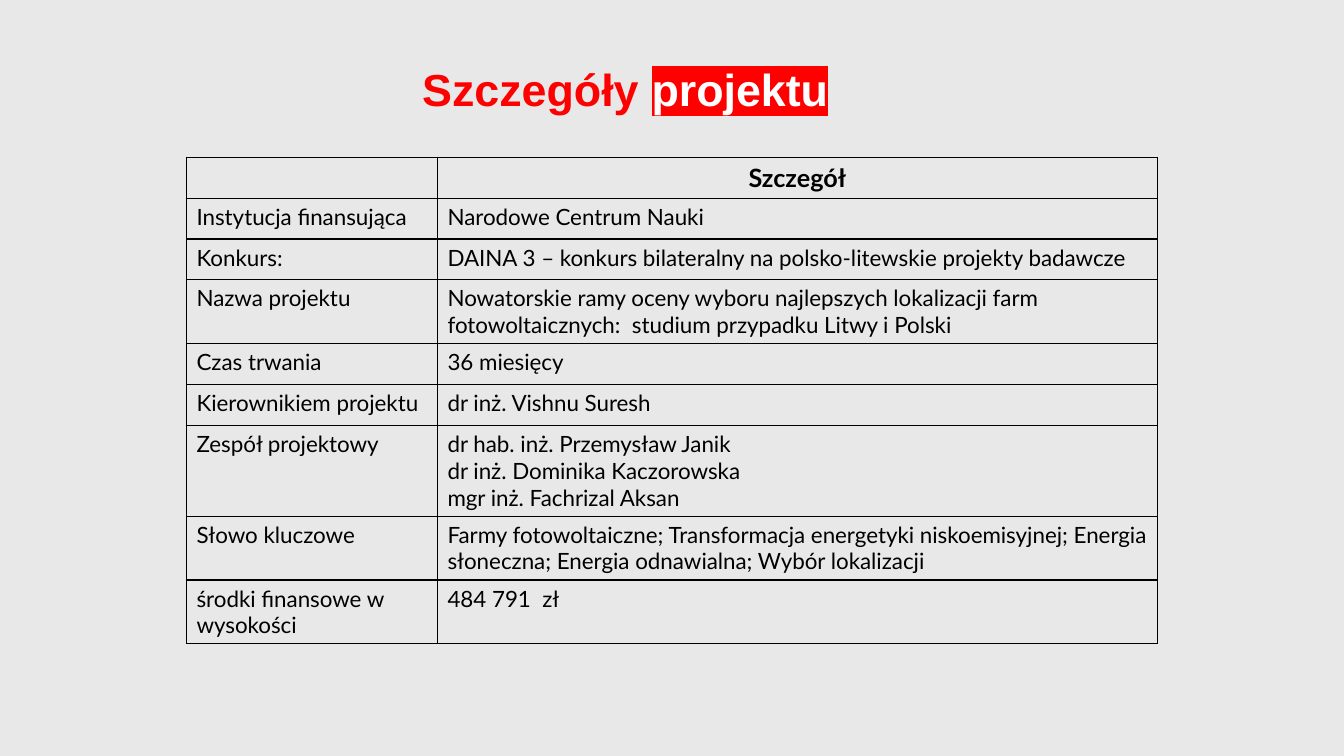
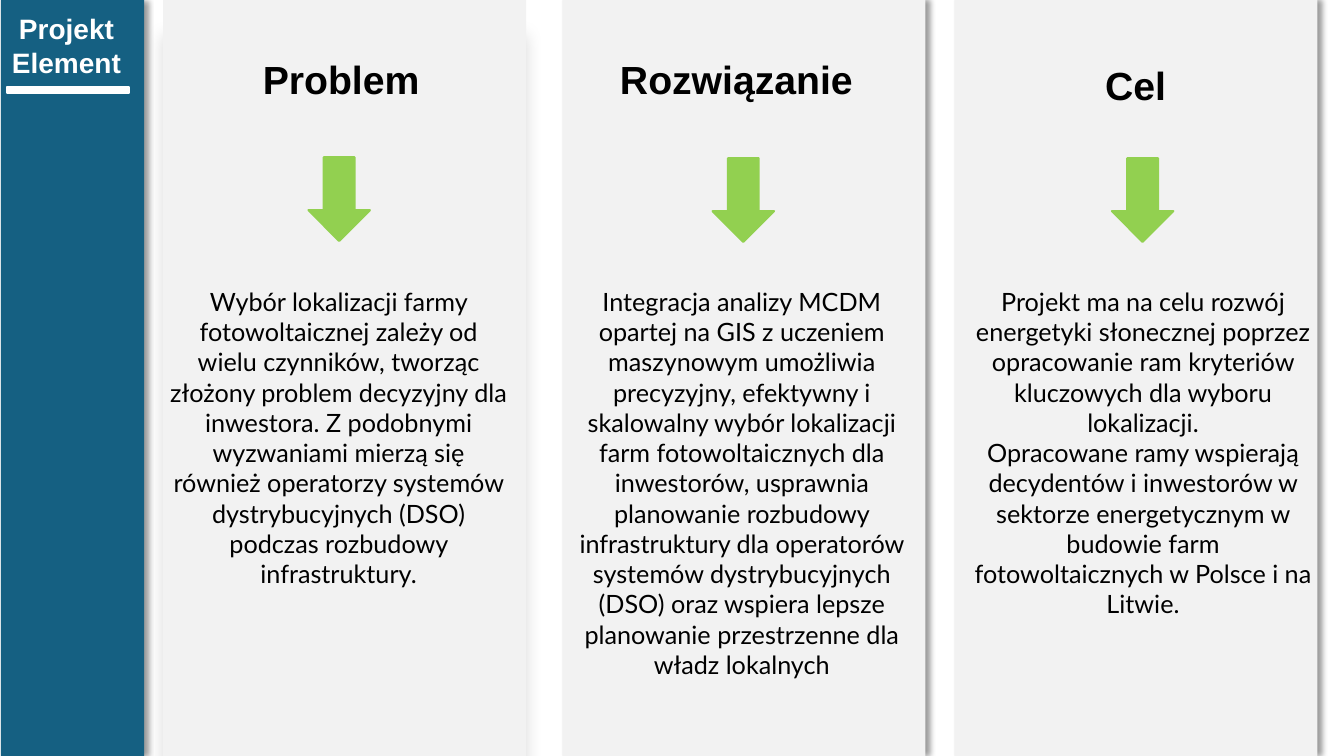
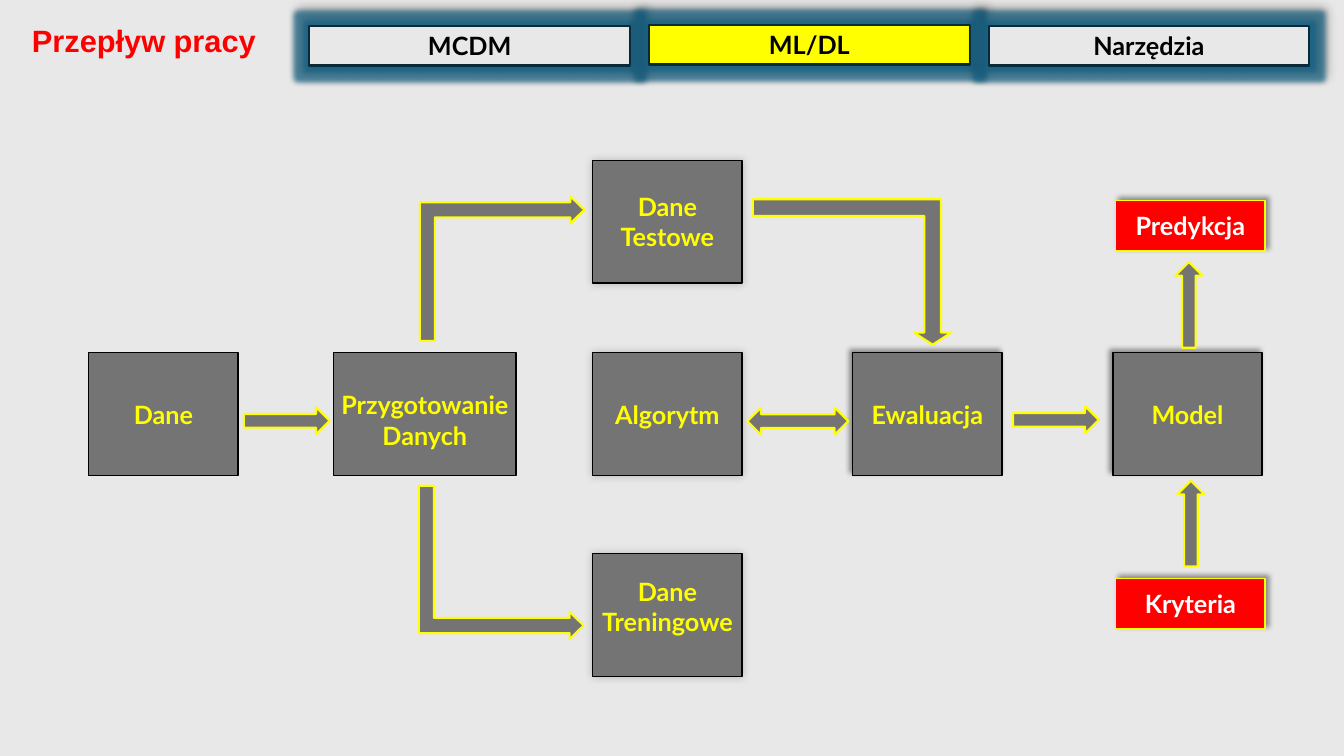
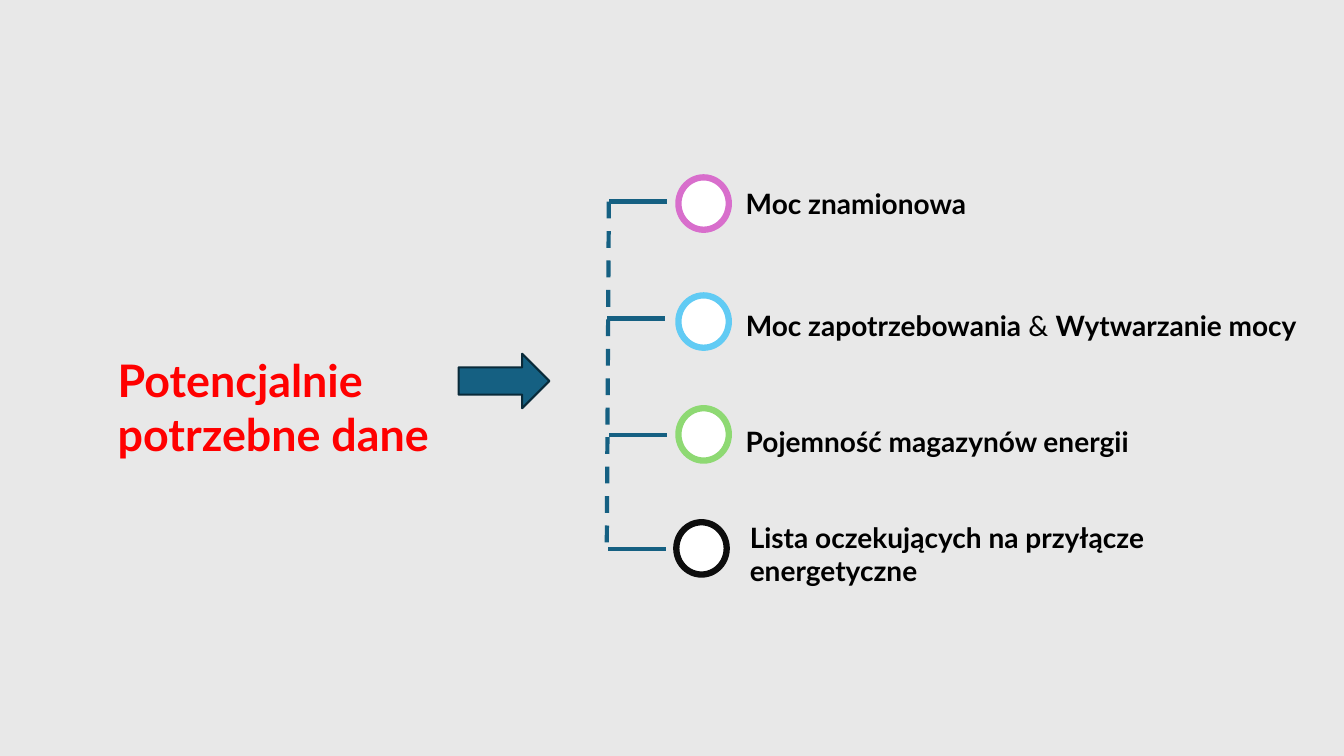
import pptx
import pptx.dml.color
import pptx.enum.dml
import pptx.enum.shapes
import pptx.enum.text
import pptx.oxml.ns
import pptx.util
from lxml import etree

Pt = pptx.util.Pt
RGBColor = pptx.dml.color.RGBColor
Shape = pptx.enum.shapes.MSO_SHAPE
Align = pptx.enum.text.PP_ALIGN
Anchor = pptx.enum.text.MSO_ANCHOR
qn = pptx.oxml.ns.qn

BLACK = RGBColor(0x00, 0x00, 0x00)
WHITE = RGBColor(0xFF, 0xFF, 0xFF)
RED = RGBColor(0xFF, 0x00, 0x00)
YELLOW = RGBColor(0xFF, 0xFF, 0x00)
PAPER = RGBColor(0xE8, 0xE8, 0xE8)
PANEL = RGBColor(0xF2, 0xF2, 0xF2)
TEAL = RGBColor(0x15, 0x60, 0x82)
NAVY = RGBColor(0x09, 0x2A, 0x39)
GRAY = RGBColor(0x74, 0x74, 0x74)
LIME = RGBColor(0x92, 0xD0, 0x50)
PINK = RGBColor(0xD8, 0x6E, 0xCC)
SKY = RGBColor(0x61, 0xCB, 0xF4)
GREEN = RGBColor(0x8E, 0xD9, 0x73)
INK = RGBColor(0x0D, 0x0D, 0x0D)

HEAD_FONT = "Arial"
BODY_FONT = "Lato"
WIDTH, HEIGHT = 960, 540


def add_color(parent, color, opacity=100):
    node = etree.SubElement(parent, qn("a:srgbClr"), val=str(color))
    if opacity < 100:
        etree.SubElement(node, qn("a:alpha"), val=str(opacity * 1000))


class Slides:
    """The deck's style and the page being filled; lengths are in points."""

    def __init__(self):
        self.deck = pptx.Presentation()
        self.deck.slide_width, self.deck.slide_height = Pt(WIDTH), Pt(HEIGHT)
        self.page = None

    def new_page(self, background=PAPER):
        self.page = self.deck.slides.add_slide(self.deck.slide_layouts[6])
        self.page.background.fill.solid()
        self.page.background.fill.fore_color.rgb = background

    def fill_text(self, frame, lines, size, color, bold=False, font=BODY_FONT, align=Align.LEFT):
        """Each line is a string or a list of (text, bold) spans."""
        for index, line in enumerate(lines):
            para = frame.paragraphs[0] if index == 0 else frame.add_paragraph()
            para.alignment = align
            for text, strong in [(line, bold)] if isinstance(line, str) else line:
                span = para.add_run()
                span.text = text
                span.font.name, span.font.size, span.font.bold = font, Pt(size), strong
                span.font.color.rgb = color

    def text(self, left, top, width, height, lines, size, color, **style):
        box = self.page.shapes.add_textbox(Pt(left), Pt(top), Pt(width), Pt(height))
        box.text_frame.word_wrap = True
        self.fill_text(box.text_frame, lines, size, color, **style)
        return box

    def highlight(self, span, color, marker):
        span.font.color.rgb = color
        mark = etree.Element(qn("a:highlight"))
        add_color(mark, marker)
        span._r.get_or_add_rPr().find(qn("a:solidFill")).addnext(mark)

    def paint(self, shape, fill, line, weight, shadow=None, glow=None):
        """shadow is (opacity, blur, distance, angle); glow is (color, opacity, radius)."""
        shape.shadow.inherit = False
        shape.fill.solid()
        shape.fill.fore_color.rgb = fill
        if line is None:
            shape.line.fill.background()
        else:
            shape.line.color.rgb, shape.line.width = line, Pt(weight)
        effects = shape.element.spPr.find(qn("a:effectLst"))
        if glow:
            color, opacity, radius = glow
            add_color(etree.SubElement(effects, qn("a:glow"), rad=str(Pt(radius))), color, opacity)
        if shadow:
            opacity, blur, distance, angle = shadow
            node = etree.SubElement(
                effects, qn("a:outerShdw"), blurRad=str(Pt(blur)), dist=str(Pt(distance)),
                dir=str(angle * 60000), algn="ctr", rotWithShape="0")
            add_color(node, BLACK, opacity)

    def shape(self, kind, left, top, width, height, fill, line=None, weight=1.5, **effects):
        shape = self.page.shapes.add_shape(kind, Pt(left), Pt(top), Pt(width), Pt(height))
        self.paint(shape, fill, line, weight, **effects)
        return shape

    def block(self, left, top, width, height, lines, color, fill, line, lift=0, **look):
        """A rectangle with a centred bold label, raised by lift."""
        shape = self.shape(Shape.RECTANGLE, left, top, width, height, fill, line, **look)
        frame = shape.text_frame
        frame.word_wrap = True
        frame.vertical_anchor = Anchor.MIDDLE
        frame.margin_left = frame.margin_right = 0
        frame.margin_top, frame.margin_bottom = Pt(max(0, -2 * lift)), Pt(max(0, 2 * lift))
        self.fill_text(frame, lines, 18, color, bold=True, align=Align.CENTER)

    def elbow_arrow(self, start, tip, fill, line, half=5.4, head=(10, 9.7), across_first=False):
        """A bent block arrow; head is its length and half its width."""
        if across_first:
            start, tip = start[::-1], tip[::-1]
        (sx, sy), (tx, ty) = start, tip
        dx, dy = (1 if tx > sx else -1), (1 if sy > ty else -1)
        neck, wide = tx - head[0] * dx, head[1] * dy
        inner, outer = half * dy, half * dx
        outline = [
            (sx - outer, sy), (sx + outer, sy), (sx + outer, ty + inner), (neck, ty + inner),
            (neck, ty + wide), (tx, ty), (neck, ty - wide), (neck, ty - inner),
            (sx - outer, ty - inner)]
        if across_first:
            outline = [point[::-1] for point in outline]
        points = [(Pt(x), Pt(y)) for x, y in outline]
        builder = self.page.shapes.build_freeform(*points[0])
        builder.add_line_segments(points[1:], close=True)
        self.paint(builder.convert_to_shape(), fill, line, 1.5)

    def line(self, start, end, color, weight, dashed=False):
        line = self.page.shapes.add_connector(
            pptx.enum.shapes.MSO_CONNECTOR.STRAIGHT, *[Pt(value) for value in start + end])
        line.line.color.rgb, line.line.width = color, Pt(weight)
        if dashed:
            line.line.dash_style = pptx.enum.dml.MSO_LINE.DASH
        etree.SubElement(line.element.spPr, qn("a:effectLst"))

    def table(self, left, top, widths, row_height, rows):
        """Each row holds cells, each cell a list of lines; the first row is the header."""
        frame = self.page.shapes.add_table(
            len(rows), len(widths), Pt(left), Pt(top), Pt(sum(widths)), Pt(row_height * len(rows)))
        table = frame.table
        table.first_row = table.horz_banding = False
        for column, width in zip(table.columns, widths):
            column.width = Pt(width)
        for number, row in enumerate(rows):
            table.rows[number].height = Pt(row_height)
            header = number == 0
            for cell, lines in zip(table.rows[number].cells, row):
                cell.fill.background()
                self.border(cell)
                self.fill_text(cell.text_frame, lines, 18 if header else 16, BLACK, bold=header,
                               align=Align.CENTER if header else Align.LEFT)

    def border(self, cell):
        properties = cell._tc.get_or_add_tcPr()
        for index, side in enumerate(("lnL", "lnR", "lnT", "lnB")):
            edge = etree.Element(qn("a:" + side), w=str(Pt(1)))
            add_color(etree.SubElement(edge, qn("a:solidFill")), BLACK)
            properties.insert(index, edge)


def details_page(slides):
    slides.new_page()
    title = slides.text(294.5, 40.3, 404, 46, [[("Szczegóły ", True), ("projektu", True)]],
                        32, RED, font=HEAD_FONT)
    slides.highlight(title.text_frame.paragraphs[0].runs[1], WHITE, RED)
    slides.table(133.2, 112.3, [179.3, 514.1], 29.2, [
        ([], ["Szczegół"]),
        (["Instytucja finansująca"], ["Narodowe Centrum Nauki"]),
        (["Konkurs:"], ["DAINA 3 – konkurs bilateralny na polsko-litewskie projekty badawcze"]),
        (["Nazwa projektu"], ["Nowatorskie ramy oceny wyboru najlepszych lokalizacji farm "
                              "fotowoltaicznych:  studium przypadku Litwy i Polski"]),
        (["Czas trwania"], ["36 miesięcy"]),
        (["Kierownikiem projektu"], ["dr inż. Vishnu Suresh"]),
        (["Zespół projektowy"], ["dr hab. inż. Przemysław Janik", "dr inż. Dominika Kaczorowska",
                                 "mgr inż. Fachrizal Aksan"]),
        (["Słowo kluczowe"], ["Farmy fotowoltaiczne; Transformacja energetyki niskoemisyjnej; "
                              "Energia słoneczna; Energia odnawialna; Wybór lokalizacji"]),
        (["środki finansowe w wysokości"], ["484 791  zł"]),
    ])


def elements_page(slides):
    slides.new_page(WHITE)
    side_shadow = (40, 4, 3, 0)

    # Side band
    slides.shape(Shape.RECTANGLE, 0.7, 0, 102.2, HEIGHT, TEAL, shadow=side_shadow)
    slides.text(-7.2, 5, 109.4, 55.4, ["Projekt", "Element"], 20, WHITE, bold=True,
                font=HEAD_FONT, align=Align.CENTER)
    slides.shape(Shape.RECTANGLE, 5, 61.9, 87.1, 4.3, WHITE, WHITE)

    # Columns: panel left, heading left and top, text left, arrow left and top
    columns = [
        (116.6, 113, 36, 112.3, 220.3, 112.3, (15, 12, 25, 90), "Problem",
         ["Wybór lokalizacji farmy fotowoltaicznej zależy od wielu czynników, tworząc złożony "
          "problem decyzyjny dla inwestora. Z podobnymi wyzwaniami mierzą się również operatorzy "
          "systemów dystrybucyjnych (DSO) podczas rozbudowy infrastruktury."]),
        (401.8, 395.3, 36, 400.3, 509, 113, side_shadow, "Rozwiązanie",
         ["Integracja analizy MCDM opartej na GIS z uczeniem maszynowym umożliwia precyzyjny, "
          "efektywny i skalowalny wybór lokalizacji farm fotowoltaicznych dla inwestorów, "
          "usprawnia planowanie rozbudowy infrastruktury dla operatorów systemów dystrybucyjnych "
          "(DSO) oraz wspiera lepsze planowanie przestrzenne dla władz lokalnych"]),
        (681.8, 680.4, 40.3, 686.9, 794.2, 113, side_shadow, "Cel",
         ["Projekt ma na celu rozwój energetyki słonecznej poprzez opracowanie ram kryteriów "
          "kluczowych dla wyboru lokalizacji.",
          "Opracowane ramy wspierają decydentów i inwestorów w sektorze energetycznym w budowie "
          "farm fotowoltaicznych w Polsce i na Litwie."]),
    ]
    for (panel, heading_left, heading_top, text_left, arrow_left, arrow_top,
         shadow, heading, lines) in columns:
        slides.shape(Shape.RECTANGLE, panel, 0, 259.2, HEIGHT, PANEL, shadow=shadow)
        slides.text(heading_left, heading_top, 261.4, 41, [heading], 28, BLACK, bold=True,
                    font=HEAD_FONT, align=Align.CENTER)
        slides.text(text_left, 200.9, 259.2, 290, lines, 18, BLACK, align=Align.CENTER)
        slides.shape(Shape.DOWN_ARROW, arrow_left, arrow_top, 43.9, 59.8, LIME, LIME)


def workflow_page(slides):
    slides.new_page()
    slides.text(15.8, 12.2, 191.5, 33.8, ["Przepływ pracy"], 22, RED, bold=True, font=HEAD_FONT)

    # Tabs
    for index, (label, top, fill) in enumerate([
            ("MCDM", 18.7, PAPER), ("ML/DL", 18, YELLOW), ("Narzędzia", 18.7, PAPER)]):
        slides.block(221 + index * 242.6, top, 229, 28.1, [label], BLACK, fill, NAVY, weight=1.5,
                     shadow=(40, 6.5, 3, 315), glow=(TEAL, 70, 7))

    # Steps
    soft, strong = (20, 6, 0, 315), (40, 4, 3, 225)
    for left, top, width, lines, lift, shadow in [
            (63.4, 252, 106.6, ["Dane"], 0, None),
            (238.3, 252, 130.3, ["Przygotowanie", "Danych"], -4, None),
            (423.4, 252, 106.6, ["Algorytm"], 0, soft),
            (609.1, 252, 106.6, ["Ewaluacja"], 0, strong),
            (794.9, 252, 106.6, ["Model"], 0, strong),
            (423.4, 114.5, 106.6, ["Dane", "Testowe"], 0, soft),
            (423.4, 395.3, 106.6, ["Dane", "Treningowe"], 6, soft)]:
        slides.block(left, top, width, 87.8, lines, YELLOW, GRAY, BLACK, lift, weight=1,
                     shadow=shadow)
    for label, top in [("Predykcja", 143.3), ("Kryteria", 413.3)]:
        slides.block(797, top, 106.6, 36, [label], WHITE, RED, YELLOW, weight=1,
                     shadow=(40, 4, 3, 315))

    # Arrows
    for kind, left, top, width, height in [
            (Shape.RIGHT_ARROW, 174.2, 290.9, 61.2, 19.4),
            (Shape.RIGHT_ARROW, 723.6, 290.2, 61.2, 19.4),
            (Shape.LEFT_RIGHT_ARROW, 533.9, 291.2, 72, 19.4),
            (Shape.UP_ARROW, 839.5, 187.2, 19.4, 61.2),
            (Shape.UP_ARROW, 841, 343.4, 19.4, 61.2)]:
        slides.shape(kind, left, top, width, height, GRAY, YELLOW)
    slides.elbow_arrow((305.3, 243.5), (417.4, 149.9), GRAY, YELLOW)
    slides.elbow_arrow((304.6, 347), (416.9, 446.8), GRAY, YELLOW)
    slides.elbow_arrow((537.8, 148.3), (666.2, 246.2), GRAY, YELLOW, half=6, head=(8.6, 13.3),
                       across_first=True)


def data_page(slides):
    slides.new_page()
    slides.text(77, 248.4, 266.4, 85, ["Potencjalnie potrzebne dane"], 32, RED, bold=True)
    slides.shape(Shape.RIGHT_ARROW, 327.6, 252.7, 64.8, 38.9, TEAL, NAVY)
    slides.line((434.9, 144), (433.4, 396), TEAL, 3, dashed=True)

    # Branches: ring left, top and colour, line left and height, text left, top and width
    for ring_left, ring_top, color, line_left, line_top, text_left, text_top, width, line in [
            (484.6, 126.7, PINK, 434.9, 144, 525.6, 129.6, 175, "Moc znamionowa"),
            (484.6, 211, SKY, 433.4, 227.5, 525.6, 216.7, 430,
             [("Moc zapotrzebowania", True), (" & ", False), ("Wytwarzanie mocy", True)]),
            (484.6, 291.6, GREEN, 434.9, 311, 525.6, 299.5, 307.4, "Pojemność magazynów energii"),
            (483.1, 373, INK, 434.2, 392.4, 528.5, 367.9, 357.1,
             "Lista oczekujących na przyłącze energetyczne")]:
        slides.line((line_left + 41.4, line_top), (line_left, line_top), TEAL, 3)
        slides.shape(Shape.OVAL, ring_left, ring_top, 36, 37.4, WHITE, color, weight=4.5)
        slides.text(text_left, text_top, width, 32, [line], 20, BLACK, bold=True)


def main():
    slides = Slides()
    for build in (details_page, elements_page, workflow_page, data_page):
        build(slides)
    slides.deck.save("out.pptx")


if __name__ == "__main__":
    main()
